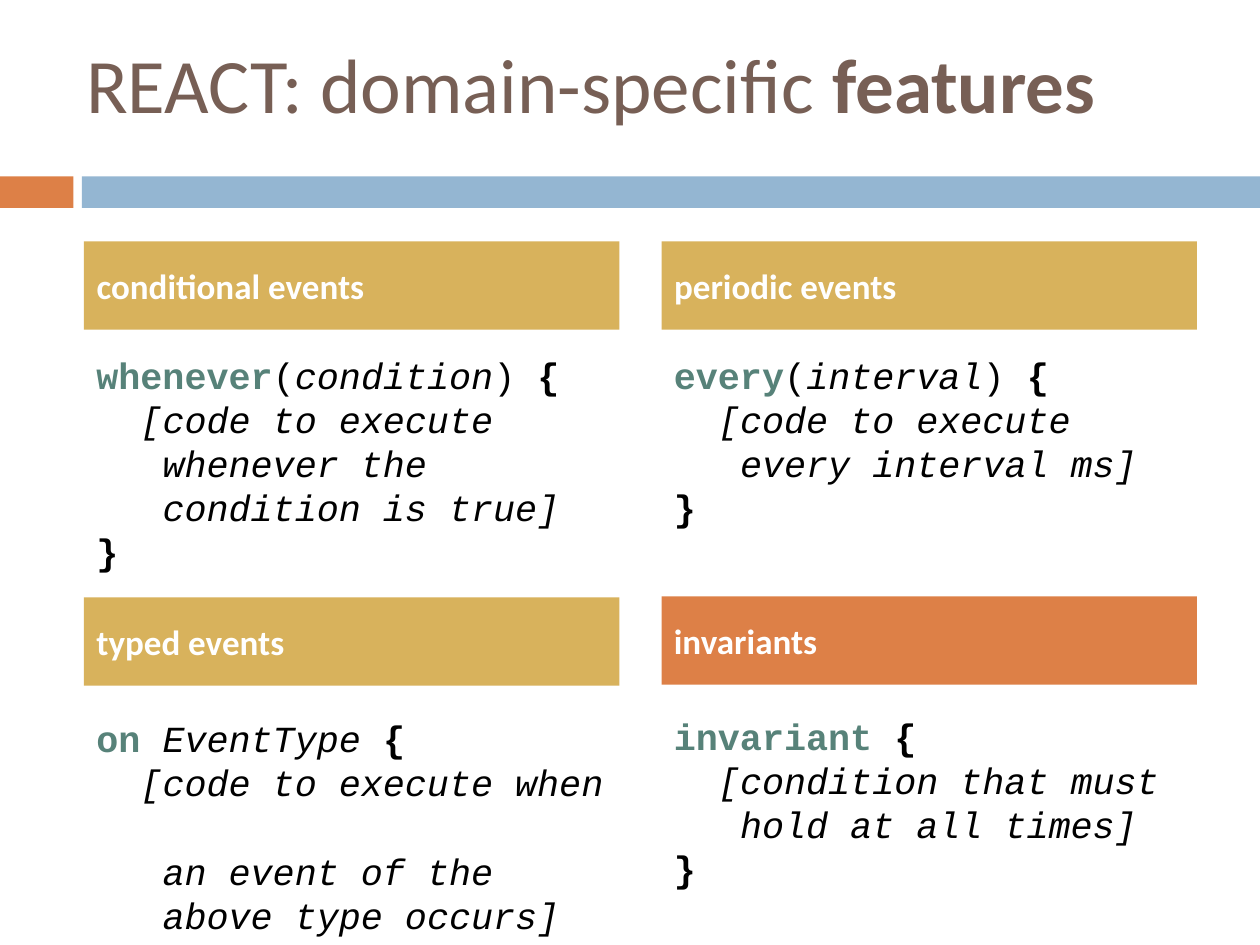
"""Build the slide on the domain-specific features of REACT."""
from dataclasses import dataclass

from pptx import Presentation
from pptx.dml.color import RGBColor
from pptx.enum.shapes import MSO_SHAPE
from pptx.enum.text import MSO_ANCHOR, MSO_AUTO_SIZE, PP_ALIGN
from pptx.util import Inches, Pt

COLUMNS, ROWS = 120, 90
LEFT, RIGHT = 8, 63
CARD_WIDTH, HEADER_HEIGHT = 51, 8.4
LINE_HEIGHT, CODE_PADDING = 4.25, 1.15


@dataclass(frozen=True)
class Theme:
    brown: RGBColor = RGBColor.from_string("775F55")
    orange: RGBColor = RGBColor.from_string("DD8047")
    blue: RGBColor = RGBColor.from_string("94B6D2")
    gold: RGBColor = RGBColor.from_string("D8B25C")
    green: RGBColor = RGBColor.from_string("578279")
    black: RGBColor = RGBColor.from_string("000000")
    white: RGBColor = RGBColor.from_string("FFFFFF")
    sans: str = "Calibri"
    mono: str = "Courier New"
    title: float = 44
    header: float = 20
    code: float = 21


@dataclass(frozen=True)
class Box:
    left: float
    top: float
    width: float
    height: float


@dataclass(frozen=True)
class Span:
    text: str
    bold: bool = False
    italic: bool = False
    color: RGBColor = Theme.black


@dataclass(frozen=True)
class Card:
    name: str
    left: float
    top: float
    code_top: float
    opening: tuple[Span, ...]
    body: tuple[str, ...]
    fill: RGBColor = Theme.gold
    placeholder: int | None = None


THEME = Theme()
BRACE = Span("{", bold=True)


def keyword(text: str) -> Span:
    """Return a highlighted keyword."""
    return Span(text, bold=True, color=THEME.green)


def call(name: str, argument: str) -> tuple[Span, ...]:
    """Return the opening line of a block with an argument in parentheses."""
    return keyword(name), Span("("), Span(argument, italic=True), Span(") "), BRACE


CARDS = (
    Card("conditional events", LEFT, 23, 33, call("whenever", "condition"),
         ("[code to execute", "whenever the", "condition is true]"), placeholder=1),
    Card("periodic events", RIGHT, 23, 33, call("every", "interval"),
         ("[code to execute", "every interval ms]"), placeholder=3),
    Card("typed events", LEFT, 56.9, 67.6,
         (keyword("on "), Span("EventType ", italic=True), BRACE),
         ("[code to execute when", "an event of the", "above type occurs]")),
    Card("invariants", RIGHT, 56.8, 67.4, (keyword("invariant "), BRACE),
         ("[condition that must", "hold at all times]"), fill=THEME.orange),
)


def emu(box: Box) -> tuple[int, int, int, int]:
    """Convert grid units to slide lengths."""
    column, row = Inches(10) / COLUMNS, Inches(7.5) / ROWS
    return (round(box.left * column), round(box.top * row),
            round(box.width * column), round(box.height * row))


def place(sp, box: Box) -> None:
    """Move a placeholder to its box."""
    sp.left, sp.top, sp.width, sp.height = emu(box)


def style(font, name: str, size: float, color: RGBColor, bold: bool = False) -> None:
    """Set the common font attributes."""
    font.name, font.size, font.bold = name, Pt(size), bold
    font.color.rgb = color


def add_rect(s, box: Box, fill: RGBColor):
    """Add a flat rectangle without outline."""
    sp = s.shapes.add_shape(MSO_SHAPE.RECTANGLE, *emu(box))
    sp.shadow.inherit = False
    sp.line.fill.background()
    sp.fill.solid()
    sp.fill.fore_color.rgb = fill
    return sp


def set_title(s) -> None:
    """Fill and format the title placeholder."""
    sp = s.shapes.title
    place(sp, Box(7, 3.6, 107, 10.7))
    tf = sp.text_frame
    tf.auto_size, tf.vertical_anchor = MSO_AUTO_SIZE.NONE, MSO_ANCHOR.MIDDLE
    p = tf.paragraphs[0]
    p.alignment, p.line_spacing = PP_ALIGN.LEFT, Pt(40)
    style(p.font, THEME.sans, THEME.title, THEME.brown)
    p.add_run().text = "REACT: domain-specific "
    r = p.add_run()
    r.text, r.font.bold = "features", True


def add_header(s, card: Card) -> None:
    """Draw the coloured heading of a card."""
    box = Box(card.left, card.top, CARD_WIDTH, HEADER_HEIGHT)
    if card.placeholder is None:
        sp = add_rect(s, box, card.fill)
    else:
        sp = s.placeholders[card.placeholder]
        place(sp, box)
        sp.fill.solid()
        sp.fill.fore_color.rgb = card.fill
    tf = sp.text_frame
    tf.auto_size, tf.vertical_anchor = MSO_AUTO_SIZE.NONE, MSO_ANCHOR.MIDDLE
    p = tf.paragraphs[0]
    p.text = card.name
    p.alignment, p.space_before = PP_ALIGN.LEFT, Pt(7)
    style(p.font, THEME.sans, THEME.header, THEME.white, bold=True)


def add_code(s, card: Card) -> None:
    """Draw the code sample of a card with a hanging indent in its body."""
    height = LINE_HEIGHT * (len(card.body) + 2) + CODE_PADDING
    box = Box(card.left, card.code_top, CARD_WIDTH, height)
    tf = s.shapes.add_textbox(*emu(box)).text_frame
    tf.word_wrap = True
    first, body, last = tf.paragraphs[0], tf.add_paragraph(), tf.add_paragraph()
    for p in (first, body, last):
        style(p.font, THEME.mono, THEME.code, THEME.black)
    for span in card.opening:
        r = first.add_run()
        r.text = span.text
        r.font.bold, r.font.italic = span.bold, span.italic
        r.font.color.rgb = span.color
    body.text, body.font.italic = " \v".join(card.body), True
    character = Pt(THEME.code * 0.6)
    pPr = body._p.get_or_add_pPr()
    pPr.set("marL", str(3 * character))
    pPr.set("indent", str(-character))
    last.text, last.font.bold = "}", True


def main() -> None:
    """Build and save the slide."""
    prs = Presentation()
    prs.slide_width, prs.slide_height = Inches(10), Inches(7.5)
    s = prs.slides.add_slide(prs.slide_layouts[4])
    for idx in (2, 4):
        sp = s.placeholders[idx]
        sp.element.getparent().remove(sp.element)
    add_rect(s, Box(0, 16.8, 7, 3), THEME.orange)
    add_rect(s, Box(7.8, 16.8, COLUMNS - 7.8, 3), THEME.blue)
    set_title(s)
    for card in CARDS:
        add_header(s, card)
        add_code(s, card)
    prs.save("out.pptx")


if __name__ == "__main__":
    main()
